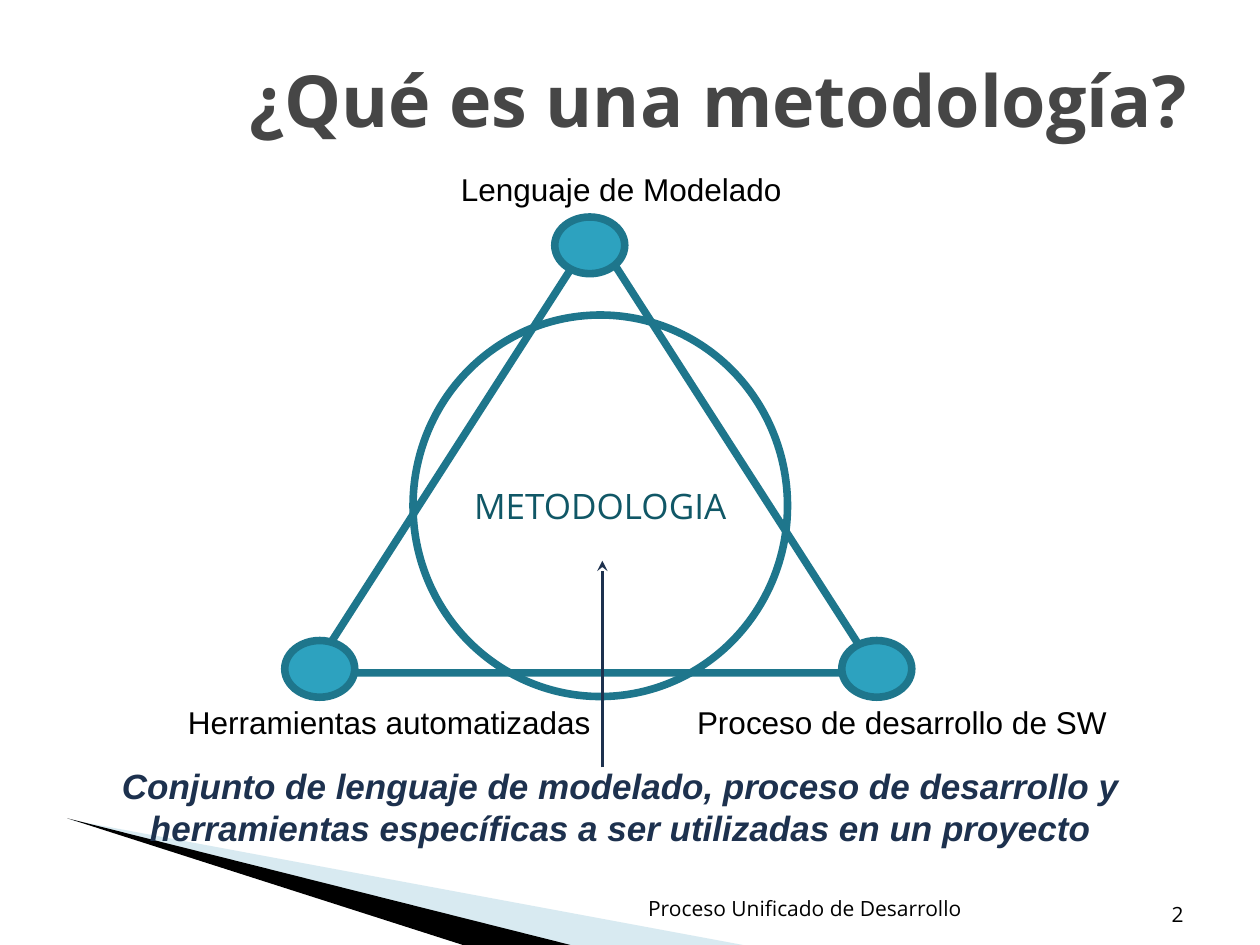
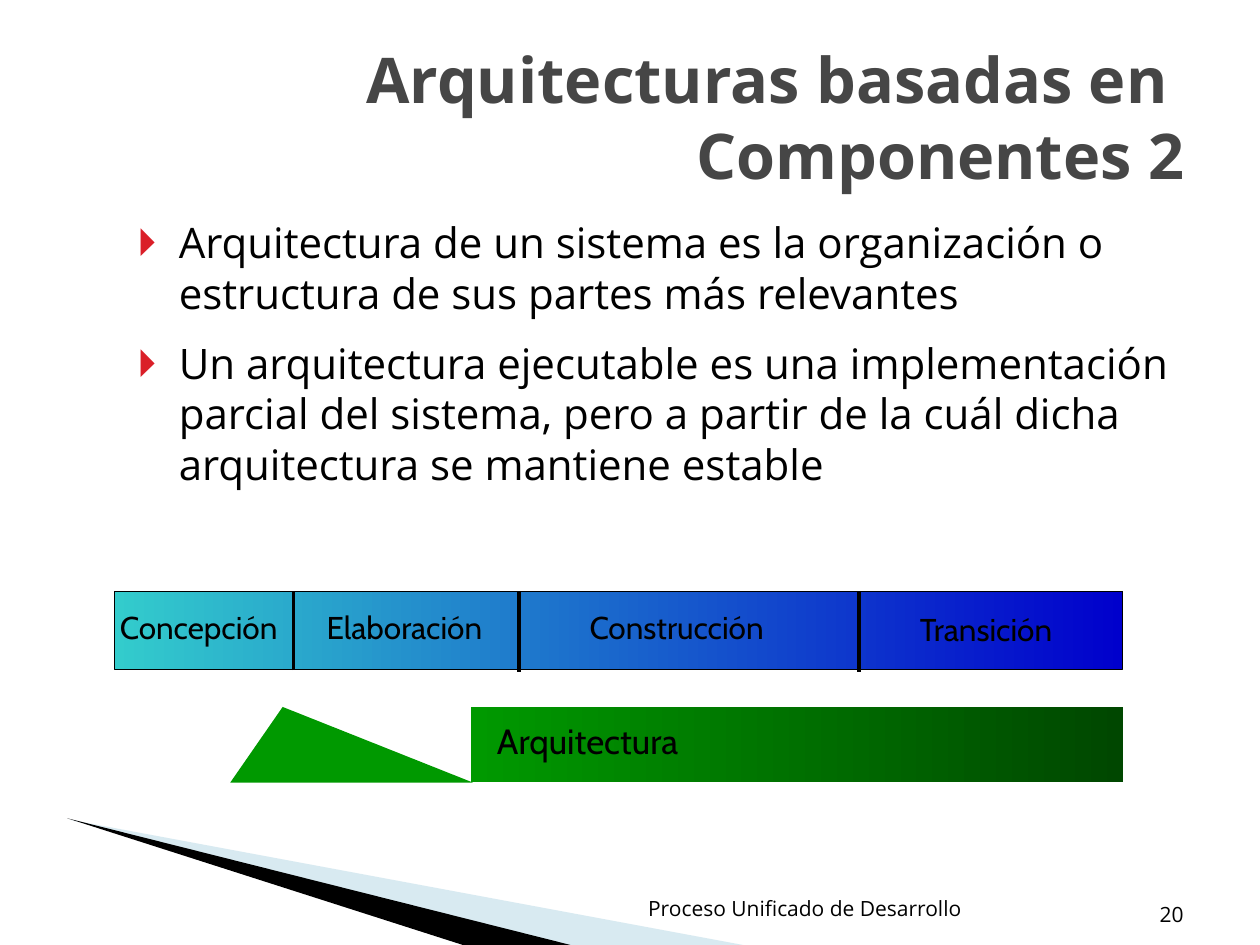
from lxml.etree import SubElement
from pptx import Presentation
from pptx.dml.color import RGBColor
from pptx.enum.shapes import MSO_CONNECTOR, MSO_SHAPE
from pptx.enum.text import MSO_ANCHOR, MSO_AUTO_SIZE, PP_ALIGN
from pptx.oxml.ns import qn
from pptx.util import Pt

TITLE_GREY = "464646"
TEAL = "2DA2BF"
DARK_TEAL = "1E768C"
NAVY = "1D314E"
BLACK = "000000"
GREEN = "009900"
BULLET_RED = "DA1F28"
color = RGBColor.from_string


def write(shape, text, size, font, ink=BLACK, align=PP_ALIGN.LEFT,
          anchor=MSO_ANCHOR.TOP, bold=False, italic=False, spacing=None,
          margins=(7.2, 3.6)):
    """Fill a shape with one paragraph per item of text, lines split at newlines."""
    frame = shape.text_frame
    frame.word_wrap = True
    frame.auto_size = MSO_AUTO_SIZE.NONE
    frame.vertical_anchor = anchor
    frame.margin_left = frame.margin_right = Pt(margins[0])
    frame.margin_top = frame.margin_bottom = Pt(margins[1])
    for index, content in enumerate([text] if isinstance(text, str) else text):
        paragraph = frame.add_paragraph() if index else frame.paragraphs[0]
        paragraph.alignment = align
        paragraph.line_spacing = spacing
        for number, line in enumerate(content.split("\n")):
            if number:
                paragraph.add_line_break()
            run = paragraph.add_run()
            run.text = line
            run.font.size = Pt(size)
            run.font.name = font
            run.font.bold = bold
            run.font.italic = italic
            run.font.color.rgb = color(ink)


def add_figure(slide, kind, box, fill=None, line=None, weight=4.33):
    """Add a preset shape; a pair of colours as fill makes a gradient."""
    figure = slide.shapes.add_shape(kind, *map(Pt, box))
    figure.shadow.inherit = False
    if fill is None:
        figure.fill.background()
    elif isinstance(fill, tuple):
        figure.fill.gradient()
        figure.fill.gradient_angle = 0
        for stop, shade in zip(figure.fill.gradient_stops, fill):
            stop.color.rgb = color(shade)
    else:
        figure.fill.solid()
        figure.fill.fore_color.rgb = color(fill)
    if line:
        figure.line.color.rgb = color(line)
        figure.line.width = Pt(weight)
    else:
        figure.line.fill.background()
    return figure


deck = Presentation()
deck.slide_width, deck.slide_height = Pt(720), Pt(540)
methodology = deck.slides.add_slide(deck.slide_layouts[5])
architecture = deck.slides.add_slide(deck.slide_layouts[1])

# Corner wedges, moved to the master
for outline, shade, alpha in (
    ([(39.6, 468.4), (424.6, 540), (325.2, 540)], "9FCBDC", 40),
    ([(38.4, 467.6), (326, 540), (264.5, 540)], BLACK, 100),
):
    start, *rest = [(Pt(x), Pt(y)) for x, y in outline]
    builder = methodology.shapes.build_freeform(*start)
    builder.add_line_segments(rest)
    wedge = builder.convert_to_shape()
    wedge.shadow.inherit = False
    wedge.fill.solid()
    wedge.fill.fore_color.rgb = color(shade)
    wedge.line.fill.background()
    tint = wedge.element.spPr.find(qn("a:solidFill"))[0]
    SubElement(tint, qn("a:alpha"), val=str(alpha * 1000))
    deck.slide_master.shapes.element.append(wedge.element)

# Titles, footers and page numbers
for slide, heading, size, left, top, height, page in (
    (methodology, "¿Qué es una metodología?", 41, 38, 16.6, 80, "2"),
    (architecture, "Arquitecturas basadas en \nComponentes 2", 36, 36, 21.6, 90, "20"),
):
    title = slide.shapes.title
    title.left, title.top, title.width, title.height = map(Pt, (left, top, 648, height))
    write(title, heading, size, "Open Sans", TITLE_GREY, PP_ALIGN.RIGHT,
          MSO_ANCHOR.MIDDLE, bold=True)
    footer = slide.shapes.add_textbox(Pt(345), Pt(504.5), Pt(230), Pt(29))
    write(footer, "Proceso Unificado de Desarrollo", 12, "Open Sans",
          align=PP_ALIGN.CENTER, anchor=MSO_ANCHOR.MIDDLE)
    page_number = slide.shapes.add_textbox(Pt(603.5), Pt(502), Pt(80), Pt(31))
    write(page_number, page, 12, "Open Sans",
          align=PP_ALIGN.RIGHT, anchor=MSO_ANCHOR.BOTTOM)

# Methodology triangle with its three corners
add_figure(methodology, MSO_SHAPE.ISOSCELES_TRIANGLE, (178, 133, 323, 251.5),
           line=DARK_TEAL)
for left, top, label, label_left, label_top, label_width in (
    (317, 124, "Lenguaje de Modelado", 256.3, 93.6, 200),
    (481, 366, "Proceso de desarrollo de SW", 391.2, 398, 251),
    (162.7, 366, "Herramientas automatizadas", 100.3, 398, 248),
):
    add_figure(methodology, MSO_SHAPE.OVAL, (left, top, 40, 32.4), TEAL, DARK_TEAL)
    caption = methodology.shapes.add_textbox(
        Pt(label_left), Pt(label_top), Pt(label_width), Pt(29))
    write(caption, label, 18, "Arial")

core = add_figure(methodology, MSO_SHAPE.OVAL, (236, 180, 214, 218), line=DARK_TEAL)
write(core, "METODOLOGIA", 20, "Open Sans", "105766", PP_ALIGN.CENTER,
      MSO_ANCHOR.MIDDLE, margins=(0, 0))
definition = methodology.shapes.add_textbox(Pt(43.2), Pt(433.5), Pt(623), Pt(55.5))
write(definition,
      "Conjunto de lenguaje de modelado, proceso de desarrollo y "
      "herramientas específicas a ser utilizadas en un proyecto",
      20, "Arial", NAVY, PP_ALIGN.CENTER, bold=True, italic=True)

# Architecture definitions
definitions = architecture.placeholders[1]
definitions.left, definitions.top = Pt(72), Pt(120.2)
definitions.width, definitions.height = Pt(612), Pt(184.3)
write(definitions, (
    "Arquitectura de un sistema es la organización o estructura de sus "
    "partes más relevantes",
    "Un arquitectura ejecutable es una implementación parcial del sistema, "
    "pero a partir de la cuál dicha arquitectura se mantiene estable",
), 24, "Open Sans")
for paragraph, gap in zip(definitions.text_frame.paragraphs, (0, 11.4)):
    paragraph.space_before = Pt(gap)
    properties = paragraph._p.get_or_add_pPr()
    properties.set("marL", str(Pt(23)))
    properties.set("indent", str(-Pt(23)))
    bullet_color = SubElement(properties, qn("a:buClr"))
    SubElement(bullet_color, qn("a:srgbClr"), val=BULLET_RED)
    SubElement(properties, qn("a:buChar"), char="🞂")

# Architecture ramp and bar
ramp = add_figure(architecture, MSO_SHAPE.ISOSCELES_TRIANGLE,
                  (131.6, 404, 138.6, 43.2), GREEN)
ramp.adjustments[0] = 0.216
add_figure(architecture, MSO_SHAPE.RECTANGLE, (269.2, 404, 372.6, 42.8),
           (GREEN, "004700"))
bar_name = architecture.shapes.add_textbox(Pt(284), Pt(414), Pt(144), Pt(21.6))
write(bar_name, "Arquitectura", 20, "Cabin", spacing=0.9, margins=(0, 0))

# Phase band
add_figure(architecture, MSO_SHAPE.RECTANGLE, (65.5, 337.9, 576, 44.6),
           ("33CCCC", "0000CC"), BLACK, 0.75)
for phase, left, top, width in (
    ("Concepción", 61.4, 344, 106),
    ("Elaboración", 179.5, 344, 107),
    ("Construcción", 329.8, 344, 117),
    ("Transición", 518.6, 345, 95),
):
    phase_name = architecture.shapes.add_textbox(Pt(left), Pt(top), Pt(width), Pt(29))
    write(phase_name, phase, 18, "Cabin")

# Arrow to the methodology and dividers between the phases
for slide, x, bottom, top, ink, arrowhead in (
    (methodology, 344.2, 438.5, 320.4, NAVY, "stealth"),
    (architecture, 167.8, 383, 337.7, BLACK, None),
    (architecture, 296.6, 383.8, 337.7, BLACK, None),
    (architecture, 491, 383.8, 337.7, BLACK, None),
):
    rule = slide.shapes.add_connector(
        MSO_CONNECTOR.STRAIGHT, Pt(x), Pt(bottom), Pt(x), Pt(top))
    rule.line.color.rgb = color(ink)
    rule.line.width = Pt(2)
    if arrowhead:
        SubElement(rule.element.spPr.find(qn("a:ln")), qn("a:tailEnd"), type=arrowhead)
    SubElement(rule.element.spPr, qn("a:effectLst"))

deck.save("out.pptx")
